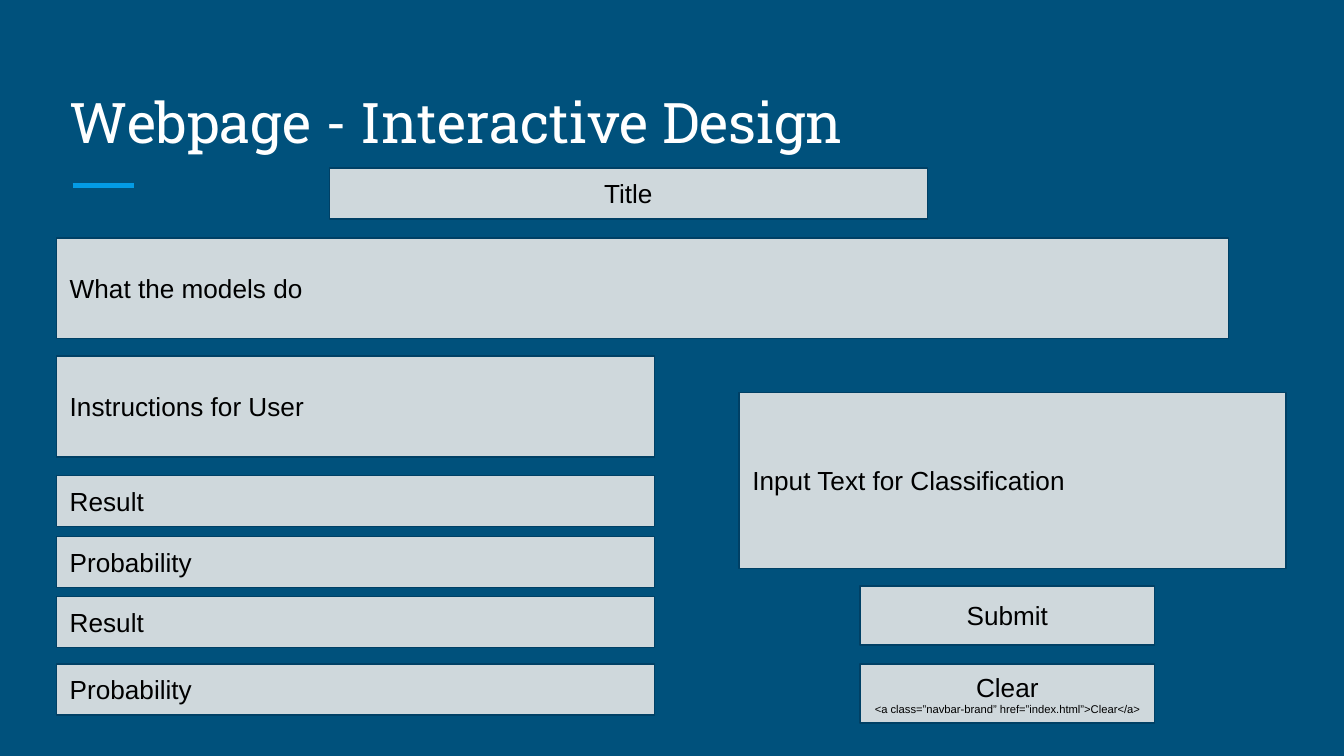
from dataclasses import dataclass

import lxml.etree
import pptx
import pptx.dml.color
import pptx.enum.shapes
import pptx.enum.text
import pptx.oxml.ns
import pptx.util

Inches, Pt = pptx.util.Inches, pptx.util.Pt
ALIGN = pptx.enum.text.PP_ALIGN
ANCHOR = pptx.enum.text.MSO_ANCHOR

COLORS = {
    "background": "00517C",
    "accent": "039BE5",
    "heading": "FFFFFF",
    "panel": "CFD8DC",
    "border": "004065",
    "text": "000000",
}


@dataclass
class Panel:
    text: str
    left: float
    top: float
    width: float
    height: float
    centered: bool = False
    note: str = ""


def rgb(name: str) -> pptx.dml.color.RGBColor:
    return pptx.dml.color.RGBColor.from_string(COLORS[name])


def add_text(p, text: str, *, size: float = 14, font: str = "Arial",
             color: str = "text", align=ALIGN.LEFT) -> None:
    p.alignment = align
    r = p.add_run()
    r.text = text
    r.font.size = Pt(size)
    r.font.name = font
    r.font.color.rgb = rgb(color)


def set_frame(tf, anchor) -> None:
    tf.word_wrap = True
    tf.vertical_anchor = anchor
    tf.margin_left = tf.margin_right = Inches(0.1)
    tf.margin_top = tf.margin_bottom = Inches(0.1)


def add_panel(s, panel: Panel) -> None:
    sp = s.shapes.add_shape(
        pptx.enum.shapes.MSO_SHAPE.RECTANGLE, Inches(panel.left),
        Inches(panel.top), Inches(panel.width), Inches(panel.height))
    sp.shadow.inherit = False
    sp.fill.solid()
    sp.fill.fore_color.rgb = rgb("panel")
    sp.line.color.rgb = rgb("border")
    sp.line.width = Pt(0.75)
    tf = sp.text_frame
    set_frame(tf, ANCHOR.MIDDLE)
    align = ALIGN.CENTER if panel.centered else ALIGN.LEFT
    add_text(tf.paragraphs[0], panel.text, align=align)
    if panel.note:
        add_text(tf.add_paragraph(), panel.note, size=6, align=align)


# Widescreen slide, 16:9
prs = pptx.Presentation()
prs.slide_width, prs.slide_height = Inches(10), Inches(10 * 9 / 16)
s = prs.slides.add_slide(prs.slide_layouts[6])
s.background.fill.solid()
s.background.fill.fore_color.rgb = rgb("background")

# Accent rule under the heading
rule = s.shapes.add_connector(
    pptx.enum.shapes.MSO_CONNECTOR.STRAIGHT,
    Inches(0.54), Inches(1.38), Inches(1), Inches(1.38))
rule.line.color.rgb = rgb("accent")
rule.line.width = Pt(3)
lxml.etree.SubElement(rule._element.spPr, pptx.oxml.ns.qn("a:effectLst"))

# Heading
LEFT = 0.42
heading = s.shapes.add_textbox(
    Inches(LEFT), Inches(0.5), Inches(9.15), Inches(0.75))
set_frame(heading.text_frame, ANCHOR.BOTTOM)
add_text(heading.text_frame.paragraphs[0], "Webpage - Interactive Design",
         size=30, font="Roboto Slab", color="heading")

# Page wireframe
COLUMN, BAR, BLOCK = 4.45, 0.38, 0.75
BUTTON = {"left": 6.4, "width": 2.19, "height": 0.44, "centered": True}
panels = [
    Panel("Input Text for Classification", 5.5, 2.92, 4.07, 1.31),
    Panel("Title", 2.45, 1.25, COLUMN, BAR, centered=True),
    Panel("What the models do", LEFT, 1.77, 8.72, BLOCK),
    Panel("Instructions for User", LEFT, 2.65, COLUMN, BLOCK),
    Panel("Submit", top=4.36, **BUTTON),
    Panel("Clear", top=4.94, **BUTTON,
          note="<a class=”navbar-brand” href=”index.html”>Clear</a>"),
]

# Two result and probability pairs
for i, top in enumerate((3.54, 3.99, 4.44, 4.94)):
    label = ("Result", "Probability")[i % 2]
    panels.append(Panel(label, LEFT, top, COLUMN, BAR))

for panel in panels:
    add_panel(s, panel)

prs.save("out.pptx")
